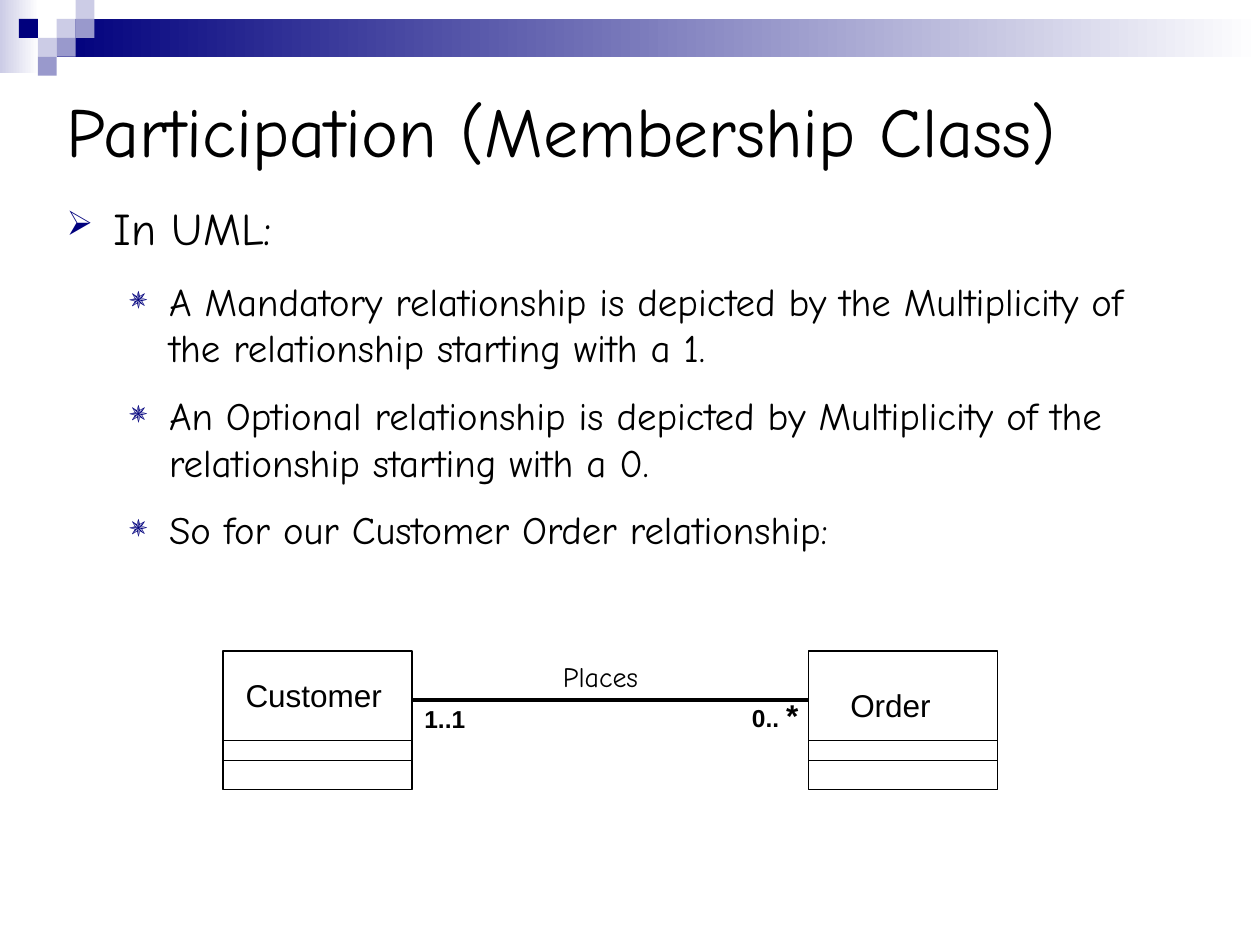
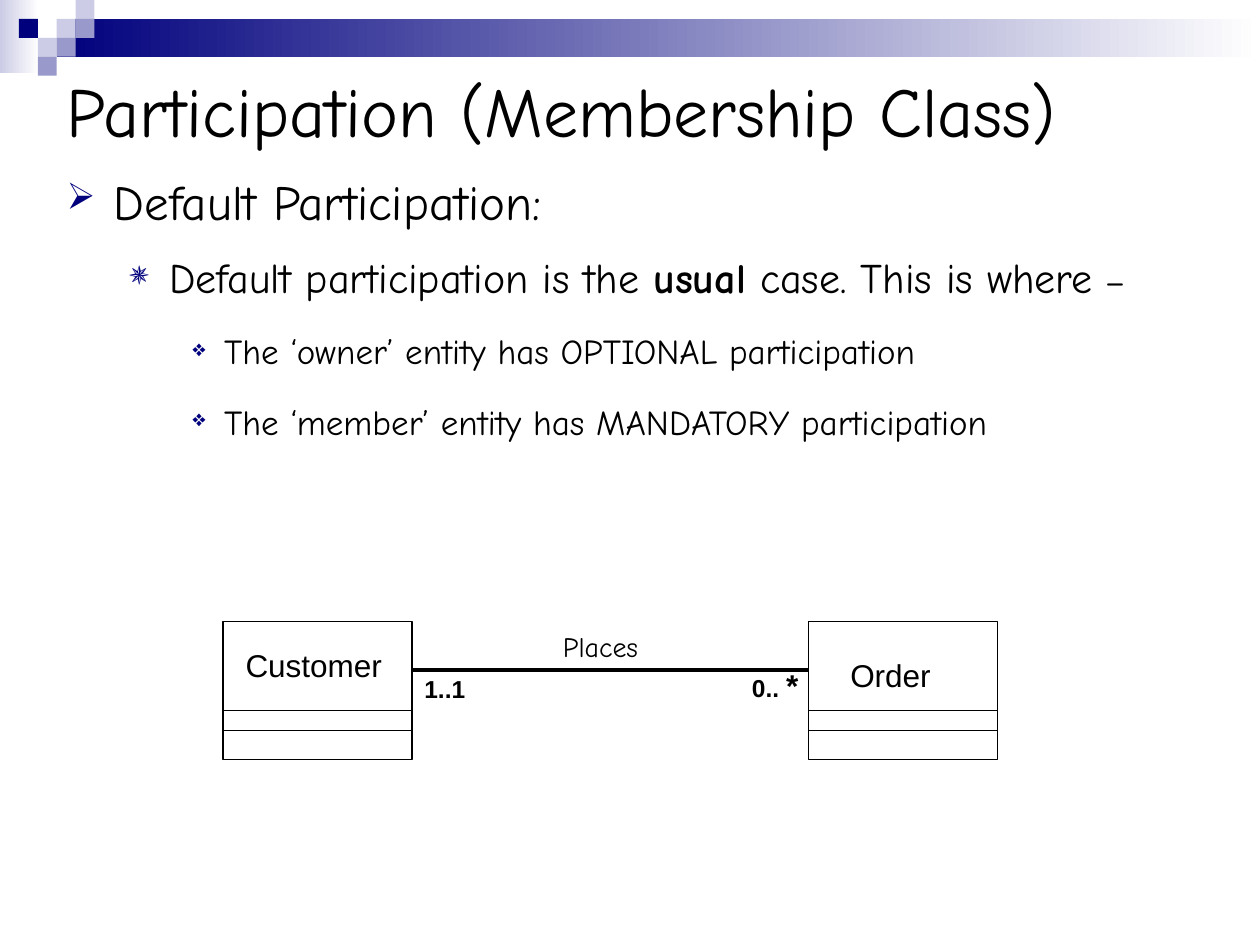
from lxml import etree
from pptx import Presentation
from pptx.dml.color import RGBColor
from pptx.enum.shapes import MSO_CONNECTOR, MSO_SHAPE
from pptx.enum.text import MSO_ANCHOR, PP_ALIGN
from pptx.oxml.ns import qn
from pptx.util import Pt

RECT = MSO_SHAPE.RECTANGLE
STRAIGHT = MSO_CONNECTOR.STRAIGHT
LEFT, MIDDLE = PP_ALIGN.LEFT, MSO_ANCHOR.MIDDLE

BLACK, WHITE = "000000", "FFFFFF"
NAVY, LILAC, PALE = "00007D", "9999CC", "CCCCE6"
HAND, SANS = "Comic Neue", "Arial"

# Each body item: level, size, space before, space after, runs of (text, bold, size or None)
SLIDES = [
    dict(
        title="Participation (Membership Class)", title_top=37.4,
        body_top=110.9, body_height=204.5, diagram_top=372,
        body=[
            (0, 25.9, 7, 7, [("In UML:", False, None)]),
            (1, 22.2, 6, 6, [("A Mandatory relationship is depicted by the Multiplicity of "
                              "the relationship starting with a 1.", False, None)]),
            (1, 22.2, 6, 6, [("An Optional relationship is depicted by Multiplicity of the "
                              "relationship starting with a 0.", False, None)]),
            (1, 22.2, 6, 6, [("So for our Customer Order relationship:", False, None)]),
        ]),
    dict(
        title="Participation (Membership Class)", title_top=25.9,
        body_top=94.3, body_height=209.5, diagram_top=355,
        body=[
            (0, 28, 7, 7, [("Default Participation:", False, None)]),
            (1, 24, 5, 5, [("Default participation is the ", False, None),
                           ("usual", True, None),
                           (" case. This is where", False, None),
                           (" –", False, 20)]),
            (2, 20, 11.2, 5, [("The ‘owner’ entity has OPTIONAL participation", False, None)]),
            (2, 20, 11.2, 5, [("The ‘member’ entity has MANDATORY participation", False, None)]),
        ]),
]

# Bullet per level: character, size in percent, text indent, hanging indent
BULLETS = [("➢", 75, 27, 27), ("✵", 80, 58.5, 22.5), ("❖", 65, 90, 18)]

TILE = 10.8
TILES = [(3, 1, PALE), (4, 0, PALE), (4, 1, LILAC), (2, 2, PALE),
         (1, 1, NAVY), (3, 2, LILAC), (2, 3, LILAC)]  # column, row, colour

CLASS_LEFTS = (127.5, 462.2)
CLASS_WIDTH, CLASS_HEIGHT = 108, 79.2
DIVIDERS = (51.2, 62.4)
LINK_Y = 28.1

# Diagram labels: left, offset from the diagram top, width, height, font, bold, wrap, runs
LABELS = [
    (133.2, 10.8, 102.2, 28.8, SANS, False, True, [("Customer", 18)]),
    (478.8, 16.5, 60.5, 28.8, SANS, False, False, [("Order", 18)]),
    (314.6, 1.4, 73.4, 26.6, HAND, False, True, [("Places", 16)]),
    (235.4, 26.6, 39.6, 24.5, SANS, True, True, [("1..1", 14)]),
    (422.6, 22.3, 45.4, 28.8, SANS, True, True, [("0.. ", 14), ("*", 18)]),
]


def rgb(value):
    return RGBColor.from_string(value)


def add_run(p, text, size, font=HAND, bold=False):
    r = p.add_run()
    r.text = text
    r.font.name, r.font.size, r.font.bold = font, Pt(size), bold
    r.font.color.rgb = rgb(BLACK)


def add_rect(s, left, top, width, height):
    sp = s.shapes.add_shape(RECT, Pt(left), Pt(top), Pt(width), Pt(height))
    sp.shadow.inherit = False
    return sp


def add_line(s, x1, x2, y, weight):
    line = s.shapes.add_connector(STRAIGHT, Pt(x1), Pt(y), Pt(x2), Pt(y))
    line.line.color.rgb = rgb(BLACK)
    line.line.width = Pt(weight)
    etree.SubElement(line._element.spPr, qn("a:effectLst"))


def add_text_box(s, left, top, width, height, wrap=True):
    tf = s.shapes.add_textbox(Pt(left), Pt(top), Pt(width), Pt(height)).text_frame
    tf.word_wrap = wrap
    return tf


def add_band(s):
    """Draw the fading header strips and the mosaic over them."""
    for box, colour in (((0, 0, 22.3, 41.8), PALE),
                        ((3 * TILE, TILE, 720 - 3 * TILE, 2 * TILE), NAVY)):
        sp = add_rect(s, *box)
        sp.line.fill.background()
        sp.fill.gradient()
        sp.fill.gradient_angle = 0
        for stop, position, value in zip(sp.fill.gradient_stops, (0, 1), (colour, WHITE)):
            stop.position = position
            stop.color.rgb = rgb(value)
    for column, row, colour in TILES:
        sp = add_rect(s, column * TILE, row * TILE, TILE, TILE)
        sp.fill.solid()
        sp.fill.fore_color.rgb = rgb(colour)
        sp.line.fill.background()


def add_title(s, text, top):
    sp = s.shapes.title
    sp.left, sp.top, sp.width, sp.height = Pt(31), Pt(top), Pt(664.6), Pt(73.4)
    tf = sp.text_frame
    tf.vertical_anchor = MIDDLE
    p = tf.paragraphs[0]
    p.alignment = LEFT
    add_run(p, text, 40)


def set_bullet(p, level):
    char, percent, indent, hanging = BULLETS[level]
    pPr = p._p.get_or_add_pPr()
    pPr.set("marL", str(Pt(indent)))
    pPr.set("indent", str(-Pt(hanging)))
    colour = etree.SubElement(pPr, qn("a:buClr"))
    etree.SubElement(colour, qn("a:srgbClr"), val=NAVY)
    etree.SubElement(pPr, qn("a:buSzPct"), val=str(percent * 1000))
    etree.SubElement(pPr, qn("a:buChar"), char=char)


def add_body(s, items, top, height):
    tf = add_text_box(s, 31, top, 648, height)
    for i, (level, size, before, after, runs) in enumerate(items):
        p = tf.add_paragraph() if i else tf.paragraphs[0]
        p.level = level
        set_bullet(p, level)
        p.space_before, p.space_after = Pt(before if i else 0), Pt(after)
        for text, bold, own_size in runs:
            add_run(p, text, own_size or size, bold=bold)


def add_class_diagram(s, top):
    for left in CLASS_LEFTS:
        sp = add_rect(s, left, top, CLASS_WIDTH, CLASS_HEIGHT)
        sp.fill.background()
        sp.line.color.rgb = rgb(BLACK)
        sp.line.width = Pt(0.75)
        for offset in DIVIDERS:
            add_line(s, left, left + CLASS_WIDTH, top + offset, 0.75)
    add_line(s, CLASS_LEFTS[0] + CLASS_WIDTH, CLASS_LEFTS[1], top + LINK_Y, 2.25)
    for left, offset, width, height, font, bold, wrap, runs in LABELS:
        tf = add_text_box(s, left, top + offset, width, height, wrap)
        for text, size in runs:
            add_run(tf.paragraphs[0], text, size, font, bold)


def main():
    prs = Presentation()
    prs.slide_width, prs.slide_height = Pt(720), Pt(540)
    for content in SLIDES:
        s = prs.slides.add_slide(prs.slide_layouts[5])
        add_band(s)
        add_title(s, content["title"], content["title_top"])
        add_body(s, content["body"], content["body_top"], content["body_height"])
        add_class_diagram(s, content["diagram_top"])
    prs.save("out.pptx")


if __name__ == "__main__":
    main()
